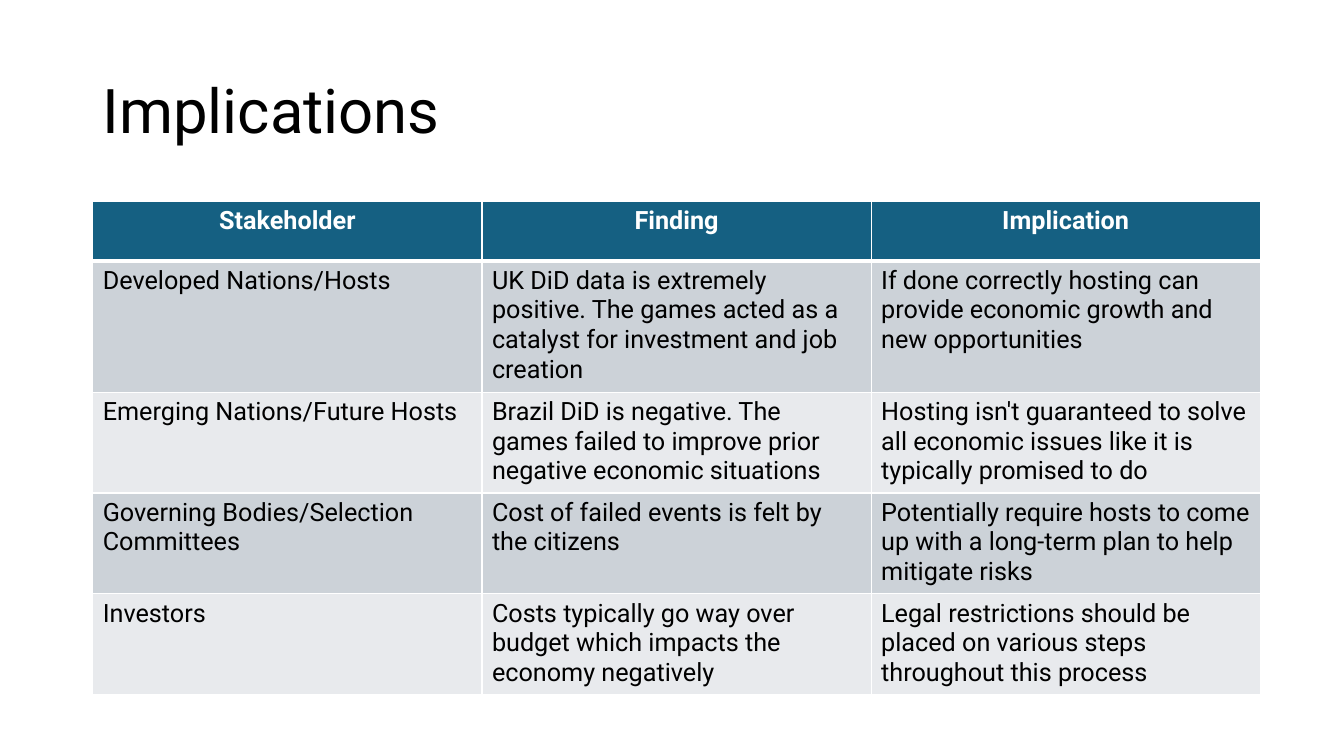
from lxml.etree import SubElement
from pptx import Presentation
from pptx.dml.color import RGBColor
from pptx.enum.text import MSO_ANCHOR as Anchor, PP_ALIGN as Align
from pptx.oxml.ns import qn
from pptx.util import Inches, Pt

FONT = "Roboto"
BLACK = RGBColor(0x00, 0x00, 0x00)
WHITE = RGBColor(0xFF, 0xFF, 0xFF)
TEAL = RGBColor(0x15, 0x60, 0x82)
GREY = RGBColor(0xCC, 0xD2, 0xD8)
PALE = RGBColor(0xE8, 0xEA, 0xED)

WIDTH = 3.86
HEIGHTS = [0.59, 1.26, 0.98, 0.98, 0.98]
ROWS = [
    ["Stakeholder", "Finding", "Implication"],
    ["Developed Nations/Hosts",
     "UK DiD data is extremely positive. The games acted as a catalyst "
     "for investment and job creation",
     "If done correctly hosting can provide economic growth and new opportunities"],
    ["Emerging Nations/Future Hosts",
     "Brazil DiD is negative. The games failed to improve prior negative "
     "economic situations",
     "Hosting isn't guaranteed to solve all economic issues like it is "
     "typically promised to do"],
    ["Governing Bodies/Selection Committees",
     "Cost of failed events is felt by the citizens",
     "Potentially require hosts to come up with a long-term plan to help "
     "mitigate risks"],
    ["Investors",
     "Costs typically go way over budget which impacts the economy negatively",
     "Legal restrictions should be placed on various steps throughout this process"],
]


def write(frame, text, size=18, color=BLACK, bold=False, align=Align.LEFT, space=1.0):
    frame.word_wrap = True
    para = frame.paragraphs[0]
    para.alignment = align
    para.line_spacing = space
    run = para.add_run()
    run.text = text
    font = run.font
    font.name = FONT
    font.size = Pt(size)
    font.bold = bold
    font.color.rgb = color


def add_title(slide, text):
    box = slide.shapes.add_textbox(Inches(0.92), Inches(0.4), Inches(11.5), Inches(1.45))
    box.text_frame.vertical_anchor = Anchor.MIDDLE
    write(box.text_frame, text, size=44, space=0.9)


def add_edge(cell, side, width):
    props = cell._tc.get_or_add_tcPr()
    line = SubElement(props, qn(f"a:ln{side}"), w=str(Pt(width)))
    fill = SubElement(line, qn("a:solidFill"))
    SubElement(fill, qn("a:srgbClr"), val=str(WHITE))


def fill_cell(cell, text, row):
    head = row == 0
    edges = {"L": 1, "R": 1, "T": 3 if row == 1 else 1, "B": 3 if head else 1}
    for side, width in edges.items():
        add_edge(cell, side, width)
    cell.fill.solid()
    cell.fill.fore_color.rgb = TEAL if head else GREY if row % 2 else PALE
    write(cell.text_frame, text, bold=head, color=WHITE if head else BLACK,
          align=Align.CENTER if head else Align.LEFT)


def add_grid(slide, rows):
    count = len(rows[0])
    frame = slide.shapes.add_table(len(rows), count, Inches(0.92), Inches(2),
                                   Inches(WIDTH * count), Inches(sum(HEIGHTS)))
    table = frame.table
    for col in table.columns:
        col.width = Inches(WIDTH)
    for row, texts in enumerate(rows):
        table.rows[row].height = Inches(HEIGHTS[row])
        for col, text in enumerate(texts):
            fill_cell(table.cell(row, col), text, row)


def main():
    deck = Presentation()
    deck.slide_width = Inches(13.33)
    deck.slide_height = Inches(7.5)
    slide = deck.slides.add_slide(deck.slide_layouts[6])
    add_title(slide, "Implications")
    add_grid(slide, ROWS)
    deck.save("out.pptx")


if __name__ == "__main__":
    main()
